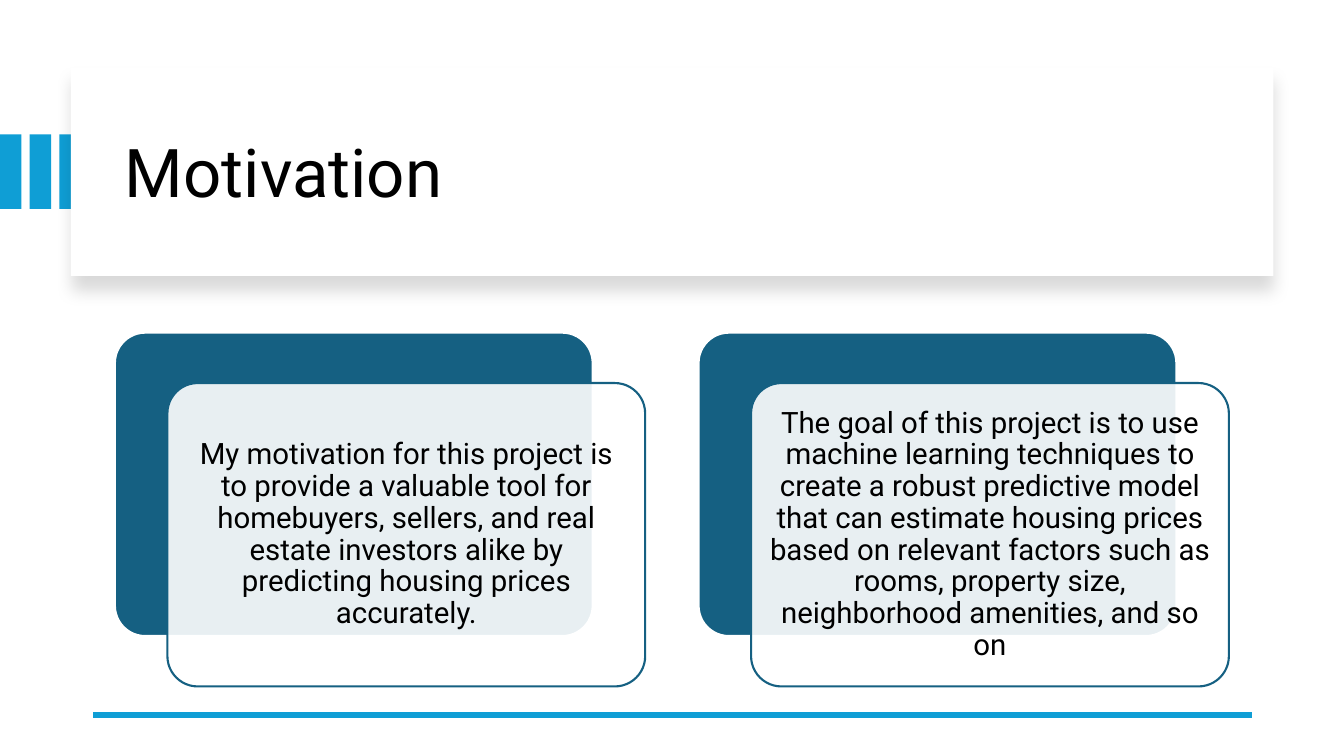
from lxml.etree import SubElement
from pptx import Presentation
from pptx.dml.color import RGBColor
from pptx.enum.shapes import MSO_CONNECTOR as CONN, MSO_SHAPE as SHAPE
from pptx.enum.text import MSO_ANCHOR as ANCHOR, PP_ALIGN as ALIGN
from pptx.oxml.ns import qn
from pptx.util import Pt

# Content
TITLE = "Motivation"
CARDS = [
    "My motivation for this project is to provide a valuable tool for homebuyers, "
    "sellers, and real estate investors alike by predicting housing prices accurately.",
    "The goal of this project is to use machine learning techniques to create a robust "
    "predictive model that can estimate housing prices based on relevant factors such as "
    "rooms, property size, neighborhood amenities, and so on",
]

# Colours and text formats
BLACK = RGBColor(0x00, 0x00, 0x00)
WHITE = RGBColor(0xFF, 0xFF, 0xFF)
BLUE = RGBColor(0x0F, 0x9E, 0xD5)
TEAL = RGBColor(0x15, 0x60, 0x82)
TITLE_FMT = {"size": Pt(48), "name": "Roboto"}
CARD_FMT = {"size": Pt(21), "name": "Roboto"}

# Layout, in points
STRIPE_TOP, STRIPE_W, STRIPE_H, STRIPE_STEP = 96, 15.3, 53.3, 21.2
CARD_X, CARD_Y, CARD_W, CARD_H, CARD_STEP = 82.1, 237.6, 341.3, 216.7, 416.9
FRONT_DX, FRONT_DY, INSET = 37.5, 36, 6.5


def add_box(s, kind, box, fill, line=None):
    sp = s.shapes.add_shape(kind, *map(Pt, box))
    sp.shadow.inherit = False
    sp.fill.solid()
    sp.fill.fore_color.rgb = fill
    if line is None:
        sp.line.fill.background()
    else:
        sp.line.color.rgb = line
        sp.line.width = Pt(1.5)
    if kind == SHAPE.ROUNDED_RECTANGLE:
        sp.adjustments[0] = 0.1
    return sp


def add_text(s, box, text, fmt, align, insets):
    tf = s.shapes.add_textbox(*map(Pt, box)).text_frame
    tf.word_wrap = True
    tf.vertical_anchor = ANCHOR.MIDDLE
    for side, inset in zip(("left", "top", "right", "bottom"), insets):
        setattr(tf, f"margin_{side}", Pt(inset))
    p = tf.paragraphs[0]
    p.alignment = align
    p.line_spacing = 0.9
    r = p.add_run()
    r.text = text
    r.font.color.rgb = BLACK
    for key, value in fmt.items():
        setattr(r.font, key, value)


def add_alpha(color, percent):
    SubElement(color, qn("a:alpha"), val=str(percent * 1000))


def add_shadow(sp, blur, dist, angle, percent):
    effects = sp._element.spPr.find(qn("a:effectLst"))
    shadow = SubElement(effects, qn("a:outerShdw"), blurRad=str(Pt(blur)),
                        dist=str(Pt(dist)), dir=str(angle * 60000),
                        algn="t", rotWithShape="0")
    color = SubElement(shadow, qn("a:srgbClr"), val=str(BLACK))
    add_alpha(color, percent)


def main():
    prs = Presentation()
    prs.slide_width, prs.slide_height = Pt(960), Pt(540)
    s = prs.slides.add_slide(prs.slide_layouts[6])

    # Stripes at the left edge, partly under the title panel
    for i in range(3):
        add_box(s, SHAPE.RECTANGLE,
                (i * STRIPE_STEP, STRIPE_TOP, STRIPE_W, STRIPE_H), BLUE)

    # Title panel
    panel = add_box(s, SHAPE.RECTANGLE, (50.6, 48.2, 859, 149), WHITE)
    add_shadow(panel, blur=11, dist=10, angle=90, percent=15)
    add_text(s, (82.1, 64.1, 801.4, 122.4), TITLE, TITLE_FMT, ALIGN.LEFT,
             (7.2, 3.6, 7.2, 3.6))

    # Bottom rule
    rule = s.shapes.add_connector(CONN.STRAIGHT, Pt(894.2), Pt(510.5), Pt(66.2), Pt(510.5))
    rule.line.color.rgb = BLUE
    rule.line.width = Pt(4.5)
    SubElement(rule._element.spPr, qn("a:effectLst"))

    # Cards: dark back plate, translucent front plate, text
    for i, text in enumerate(CARDS):
        x = CARD_X + i * CARD_STEP
        add_box(s, SHAPE.ROUNDED_RECTANGLE, (x, CARD_Y, CARD_W, CARD_H), TEAL, WHITE)
        fx, fy = x + FRONT_DX, CARD_Y + FRONT_DY
        front = add_box(s, SHAPE.ROUNDED_RECTANGLE, (fx, fy, CARD_W, CARD_H), WHITE, TEAL)
        add_alpha(front._element.spPr.find(qn("a:solidFill"))[0], 90)
        add_text(s, (fx + INSET, fy + INSET, CARD_W - 2 * INSET, CARD_H - 2 * INSET),
                 text, CARD_FMT, ALIGN.CENTER, (INSET,) * 4)

    prs.save("out.pptx")


if __name__ == "__main__":
    main()
